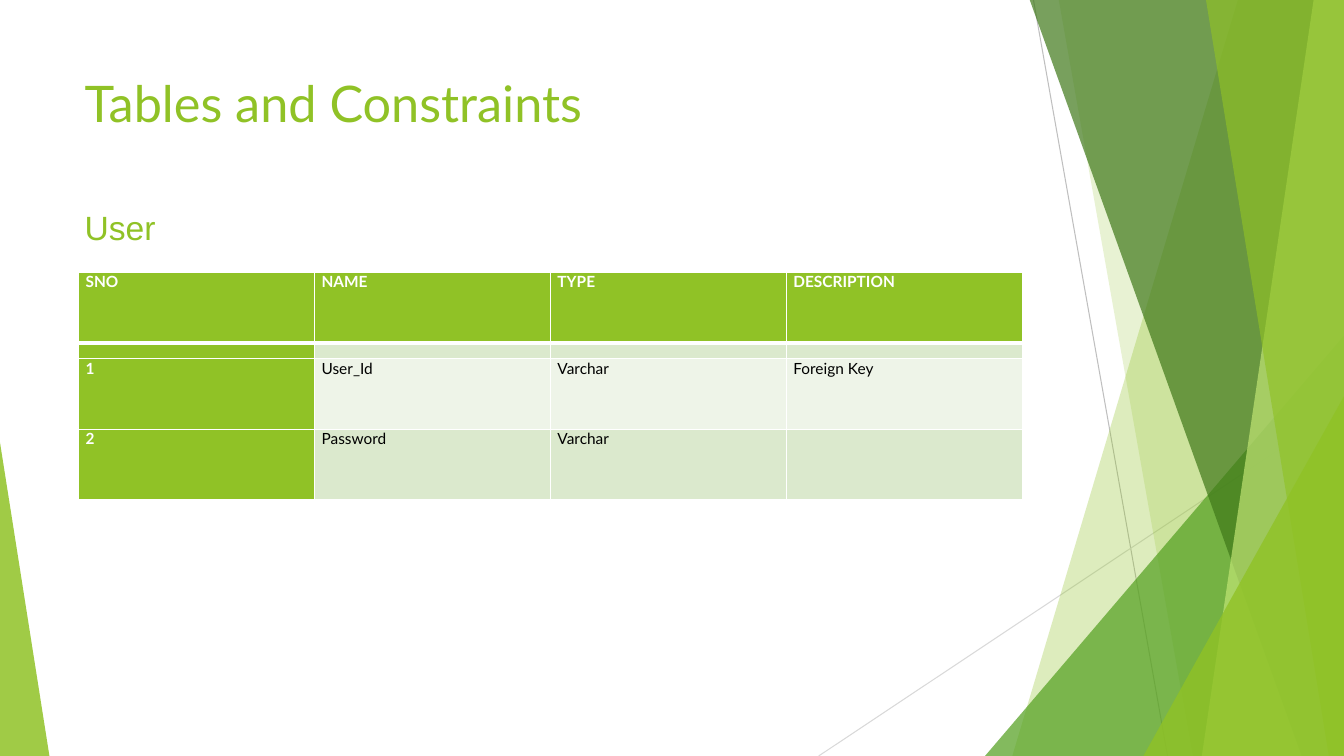
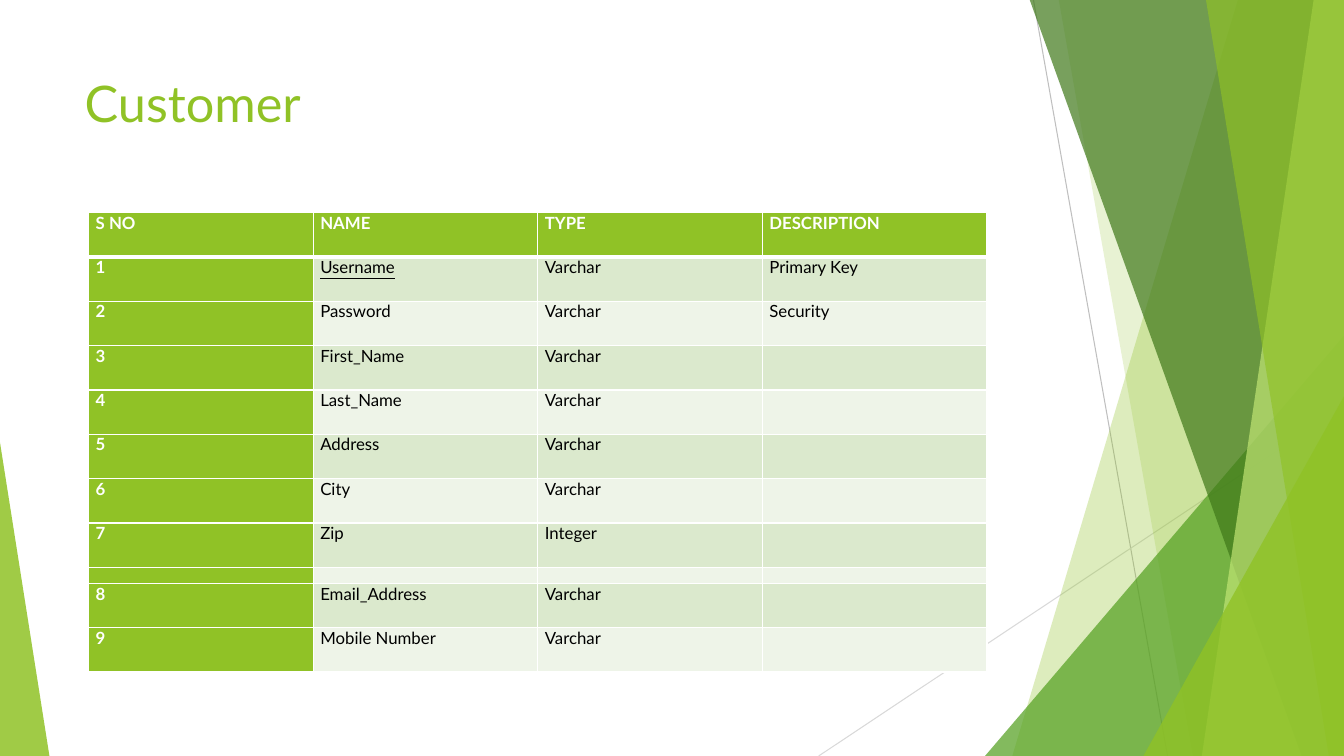
from lxml.etree import SubElement
from pptx import Presentation
from pptx.dml.color import RGBColor
from pptx.enum.shapes import MSO_CONNECTOR, MSO_SHAPE
from pptx.enum.text import MSO_ANCHOR, PP_ALIGN
from pptx.oxml import parse_xml
from pptx.oxml.ns import nsdecls, qn
from pptx.util import Inches, Pt

FONT = "Lato"
GREEN, WHITE, BLACK = "90C226", "FFFFFF", "000000"
BANDS = ("DBE9CD", "EEF4E8")
TOP, BOTTOM, RIGHT = -0.01, 7.5, 13.33
GAP_ROW = 0.16
HEADS = ("NAME", "TYPE", "DESCRIPTION")

# Lines: x1, y1, x2, y2, colour
RAYS = ((10.25, 0, 11.58, BOTTOM, "BFBFBF"),
        (RIGHT, 4.03, 8.12, BOTTOM, "D9D9D9"))
# Bands reach the right edge: top x, bottom x, colour, opacity
# Triangles: left, top, width, height, apex, colour, opacity
BACK_BANDS = ((12.28, 10.04, GREEN, 30), (10.5, 11.83, GREEN, 20))
MID_TRIANGLE = (9.77, 3.33, 3.56, 4.17, 1, "54A021", 72)
FRONT_BANDS = ((10.21, 12.91, "3F7819", 70), (13.03, 11.92, "C0E474", 70),
               (11.96, 13.18, GREEN, 65))
FRONT_TRIANGLES = ((11.34, 3.93, 1.99, 3.57, 1, GREEN, 80),
                   (0, 4.39, 0.49, 3.11, 0, GREEN, 85))

USER_ROWS = (
    ("SNO", *HEADS),
    ("",) * 4,
    ("1", "User_Id", "Varchar", "Foreign Key"),
    ("2", "Password", "Varchar", ""),
)
CUSTOMER_ROWS = (
    ("S NO", *HEADS),
    ("1", "Username", "Varchar", "Primary Key"),
    ("2", "Password", "Varchar", "Security"),
    ("3", "First_Name", "Varchar", ""),
    ("4", "Last_Name", "Varchar", ""),
    ("5", "Address", "Varchar", ""),
    ("6", "City", "Varchar", ""),
    ("7", "Zip", "Integer", ""),
    ("",) * 4,
    ("8", "Email_Address", "Varchar", ""),
    ("9", "Mobile Number", "Varchar", ""),
)


def rgb(color):
    """Return the colour for a hex string."""
    return RGBColor.from_string(color)


def write(tf, text, size=12, color=BLACK, font=FONT, bold=False, underline=False):
    """Write one left-aligned run of formatted text."""
    p = tf.paragraphs[0]
    p.alignment = PP_ALIGN.LEFT
    r = p.add_run()
    r.text = text
    r.font.size, r.font.name = Pt(size), font
    r.font.bold, r.font.underline = bold, underline
    r.font.color.rgb = rgb(color)


def paint(sp, color, opacity):
    """Give a shape a translucent fill without line or shadow."""
    sp.shadow.inherit = False
    sp.line.fill.background()
    sp.fill.solid()
    sp.fill.fore_color.rgb = rgb(color)
    clr = sp.fill._xPr.find(".//" + qn("a:srgbClr"))
    SubElement(clr, qn("a:alpha"), val=str(opacity * 1000))


def add_ray(slide, x1, y1, x2, y2, color):
    """Draw a thin straight line."""
    ln = slide.shapes.add_connector(
        MSO_CONNECTOR.STRAIGHT, *(Inches(v) for v in (x1, y1, x2, y2)))
    ln.line.color.rgb = rgb(color)
    ln.line.width = Pt(0.75)
    SubElement(ln._element.spPr, qn("a:effectLst"))
    return ln


def add_band(slide, top_x, bottom_x, color, opacity):
    """Draw a full-height band with a slanted left side."""
    fb = slide.shapes.build_freeform(Inches(top_x), Inches(TOP))
    corners = ((RIGHT, TOP), (RIGHT, BOTTOM), (bottom_x, BOTTOM))
    fb.add_line_segments([(Inches(x), Inches(y)) for x, y in corners])
    sp = fb.convert_to_shape()
    paint(sp, color, opacity)
    return sp


def add_triangle(slide, left, top, width, height, apex, color, opacity):
    """Draw a right-angled triangle with its apex at one side."""
    sp = slide.shapes.add_shape(
        MSO_SHAPE.ISOSCELES_TRIANGLE,
        *(Inches(v) for v in (left, top, width, height)))
    sp.adjustments[0] = apex
    paint(sp, color, opacity)
    return sp


def decorate_layout(layout, slide):
    """Set the title's place and move the facets, drawn on a slide, to the layout."""
    for ph in list(layout.placeholders):
        if ph.placeholder_format.idx:
            ph._element.getparent().remove(ph._element)
    title = layout.placeholders[0]
    title.left, title.top = Inches(0.74), Inches(0.67)
    title.width, title.height = Inches(9.4), Inches(1.44)
    title.text_frame.vertical_anchor = MSO_ANCHOR.TOP

    facets = [add_ray(slide, *ray) for ray in RAYS]
    facets += [add_band(slide, *band) for band in BACK_BANDS]
    facets.append(add_triangle(slide, *MID_TRIANGLE))
    facets += [add_band(slide, *band) for band in FRONT_BANDS]
    facets += [add_triangle(slide, *tri) for tri in FRONT_TRIANGLES]
    for sp in facets:
        title._element.addprevious(sp._element)


def set_borders(cell, top=1, bottom=1):
    """Give a cell white borders, with widths in points."""
    tc_pr = cell._tc.get_or_add_tcPr()
    widths = {"lnL": 1, "lnR": 1, "lnT": top, "lnB": bottom}
    for i, (tag, width) in enumerate(widths.items()):
        tc_pr.insert(i, parse_xml(
            f'<a:{tag} {nsdecls("a")} w="{Pt(width)}"><a:solidFill>'
            f'<a:srgbClr val="{WHITE}"/></a:solidFill></a:{tag}>'))


def fill_cell(cell, text, row, col, size, underline):
    """Format one cell by its row and column."""
    head = row == 0 or col == 0
    cell.margin_left = cell.margin_right = Inches(0.07)
    cell.margin_top = cell.margin_bottom = 0
    cell.fill.solid()
    cell.fill.fore_color.rgb = rgb(GREEN if head else BANDS[(row - 1) % 2])
    set_borders(cell, top=3 if row == 1 else 1, bottom=3 if row == 0 else 1)
    if text:
        write(cell.text_frame, text, size=size, color=WHITE if head else BLACK,
              bold=head, underline=underline)
    else:
        SubElement(cell.text_frame.paragraphs[0]._p, qn("a:endParaRPr"), sz="800")


def add_grid(slide, rows, left, top, width, row_height, size, key=None):
    """Add a banded table; rows without text are narrow, the key is underlined."""
    heights = [row_height if any(row) else GAP_ROW for row in rows]
    table = slide.shapes.add_table(
        len(rows), len(rows[0]), Inches(left), Inches(top),
        Inches(width), Inches(sum(heights))).table
    table.first_row = table.horz_banding = False
    for i, row in enumerate(rows):
        table.rows[i].height = Inches(heights[i])
        for j, text in enumerate(row):
            fill_cell(table.cell(i, j), text, i, j, size,
                      underline=key is not None and text == key)


def add_titled_slide(prs, layout, title):
    """Add a slide with a formatted title."""
    slide = prs.slides.add_slide(layout)
    write(slide.shapes.title.text_frame, title, size=36, color=GREEN)
    return slide


def add_label(slide, text, left, top, width, height):
    """Add a subheading in a text box."""
    tf = slide.shapes.add_textbox(
        *(Inches(v) for v in (left, top, width, height))).text_frame
    tf.word_wrap = True
    write(tf, text, size=24, color=GREEN, font="Arial")


def main():
    """Build and save the two table slides."""
    prs = Presentation()
    prs.slide_width, prs.slide_height = Inches(RIGHT), Inches(BOTTOM)
    layout = prs.slide_layouts.get_by_name("Title Only")

    user = add_titled_slide(prs, layout, "Tables and Constraints")
    decorate_layout(layout, user)
    add_grid(user, USER_ROWS, 0.78, 2.7, 9.36, 0.7, size=11)
    add_label(user, "User", 0.74, 2, 6.3, 0.81)

    customer = add_titled_slide(prs, layout, "Customer")
    add_grid(customer, CUSTOMER_ROWS, 0.88, 2.11, 8.91, 0.44, size=12,
             key="Username")
    prs.save("out.pptx")


if __name__ == "__main__":
    main()
